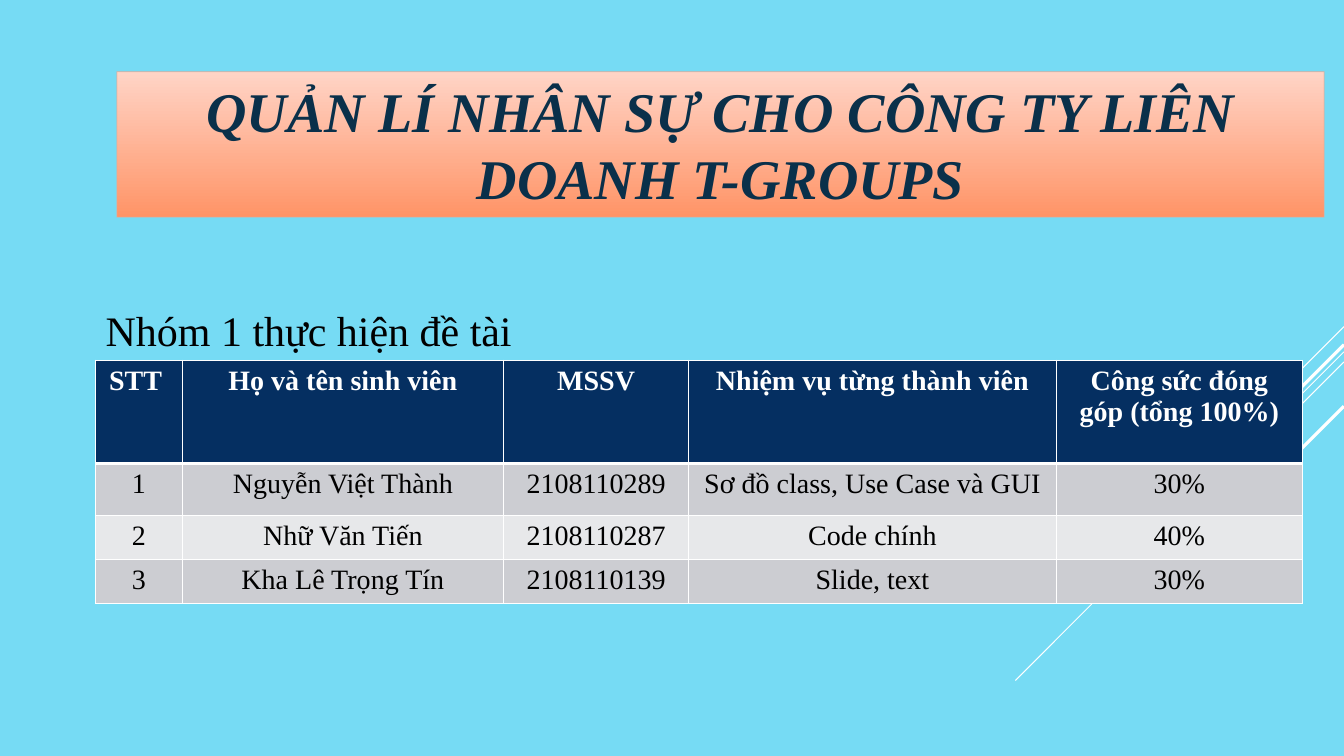
"""Build the team and task slide for the staff management project."""
from lxml import etree
from pptx import Presentation
from pptx.dml.color import RGBColor
from pptx.enum.shapes import MSO_CONNECTOR
from pptx.enum.text import MSO_ANCHOR, MSO_AUTO_SIZE, PP_ALIGN
from pptx.oxml.ns import qn
from pptx.util import Pt

STRAIGHT = MSO_CONNECTOR.STRAIGHT
TOP, MIDDLE = MSO_ANCHOR.TOP, MSO_ANCHOR.MIDDLE
NO_FIT = MSO_AUTO_SIZE.NONE
CENTER, LEFT = PP_ALIGN.CENTER, PP_ALIGN.LEFT
WHITE, BLACK, NAVY = "FFFFFF", "000000", "052F61"
BANDS = ["CCCDD2", "E7E8EA"]
TITLE_GRADIENT = ["FFD4C6", "FF9467"]


def color(value):
    return RGBColor.from_string(value)


def write(frame, text, size, ink, align, bold=False, italic=False):
    paragraph = frame.paragraphs[0]
    paragraph.alignment = align
    run = paragraph.add_run()
    run.text = text
    run.font.name = "Times New Roman"
    run.font.size = Pt(size)
    run.font.bold = bold
    run.font.italic = italic
    run.font.color.rgb = color(ink)
    return paragraph


deck = Presentation()
deck.slide_width, deck.slide_height = Pt(960), Pt(540)
slide = deck.slides.add_slide(deck.slide_layouts[5])
slide.background.fill.solid()
slide.background.fill.fore_color.rgb = color("76DBF4")

for top, reach, weight in [
    (233.3, 72, 0.75),
    (251.3, 234.7, 0.75),
    (258.5, 149, 0.75),
    (246.2, 137.5, 2.25),
    (290.2, 100, 2.25),
]:
    ray = slide.shapes.add_connector(
        STRAIGHT, Pt(960), Pt(top), Pt(960 - reach), Pt(top + reach))
    ray.line.color.rgb = color(WHITE)
    ray.line.width = Pt(weight)
    etree.SubElement(ray._element.spPr, qn("a:effectLst"))

title = slide.shapes.title
title.left, title.top, title.width, title.height = Pt(83.5), Pt(51.1), Pt(862.3), Pt(104)
title.fill.gradient()
title.fill.gradient_angle = 270
for stop, shade in zip(title.fill.gradient_stops, TITLE_GRADIENT):
    stop.color.rgb = color(shade)
title.line.color.rgb = color("EEA78F")
title.line.width = Pt(0.75)
outline = title.line._ln.find(".//" + qn("a:srgbClr"))
etree.SubElement(outline, qn("a:alpha"), val="60000")
title.text_frame.word_wrap = True
title.text_frame.auto_size = NO_FIT
title.text_frame.vertical_anchor = TOP
write(title.text_frame, "QUẢN LÍ NHÂN SỰ CHO CÔNG TY LIÊN DOANH T-GROUPS",
      40, "0A304A", CENTER, bold=True, italic=True)

group_label = slide.shapes.add_textbox(Pt(68.4), Pt(217.4), Pt(446.4), Pt(40.3))
group_label.text_frame.word_wrap = True
group_label.text_frame.vertical_anchor = MIDDLE
write(group_label.text_frame, "Nhóm 1 thực hiện đề tài", 30, BLACK, LEFT).line_spacing = 0.9

members = [
    ["STT ", "Họ và tên sinh viên", "MSSV", "Nhiệm vụ từng thành viên",
     "Công sức đóng góp (tổng 100%)"],
    ["1", "Nguyễn Việt Thành", "2108110289", "Sơ đồ class, Use Case và GUI", "30%"],
    ["2", "Nhữ Văn Tiến", "2108110287", "Code chính", "40%"],
    ["3", "Kha Lê Trọng Tín", "2108110139", "Slide, text", "30%"],
]
column_widths = [62, 229.5, 132.3, 262.5, 176]
row_heights = [73.8, 37, 31.5, 31.5]
table = slide.shapes.add_table(
    len(members), len(column_widths), Pt(68.2), Pt(257.4),
    Pt(sum(column_widths)), Pt(sum(row_heights))).table
for column, width in zip(table.columns, column_widths):
    column.width = Pt(width)

for row_index, (row, height, values) in enumerate(zip(table.rows, row_heights, members)):
    row.height = Pt(height)
    is_header = row_index == 0
    borders = {"lnL": 1, "lnR": 1, "lnT": 3 if row_index == 1 else 1,
               "lnB": 3 if is_header else 1}
    for cell, value in zip(row.cells, values):
        properties = cell._tc.get_or_add_tcPr()
        for side, weight in borders.items():
            border = etree.SubElement(properties, qn("a:" + side), w=str(Pt(weight)))
            paint = etree.SubElement(border, qn("a:solidFill"))
            etree.SubElement(paint, qn("a:srgbClr"), val=WHITE)
        cell.fill.solid()
        cell.fill.fore_color.rgb = color(NAVY if is_header else BANDS[(row_index - 1) % 2])
        cell.vertical_anchor = TOP
        write(cell.text_frame, value, 20, WHITE if is_header else BLACK, CENTER, bold=is_header)

deck.save("out.pptx")
